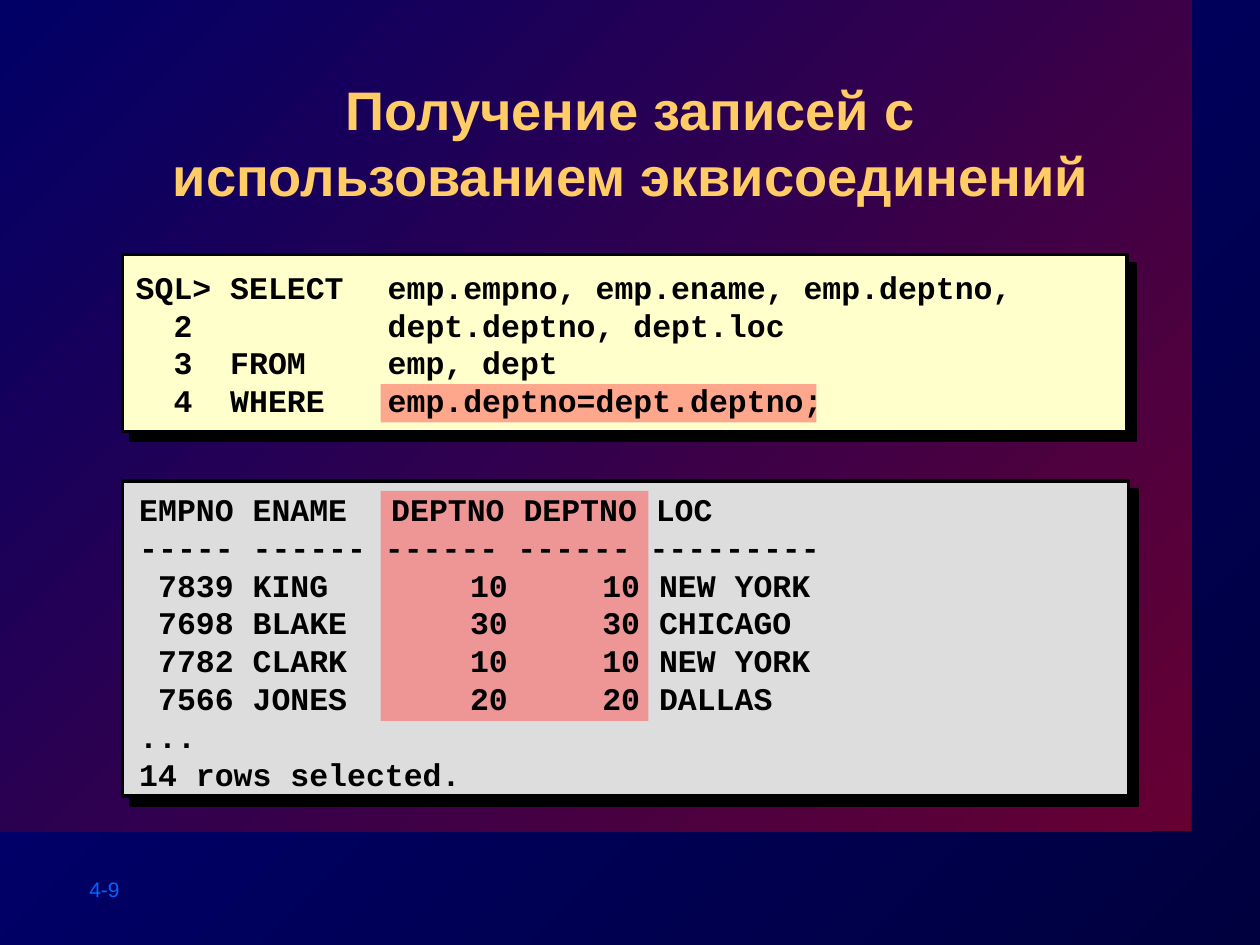
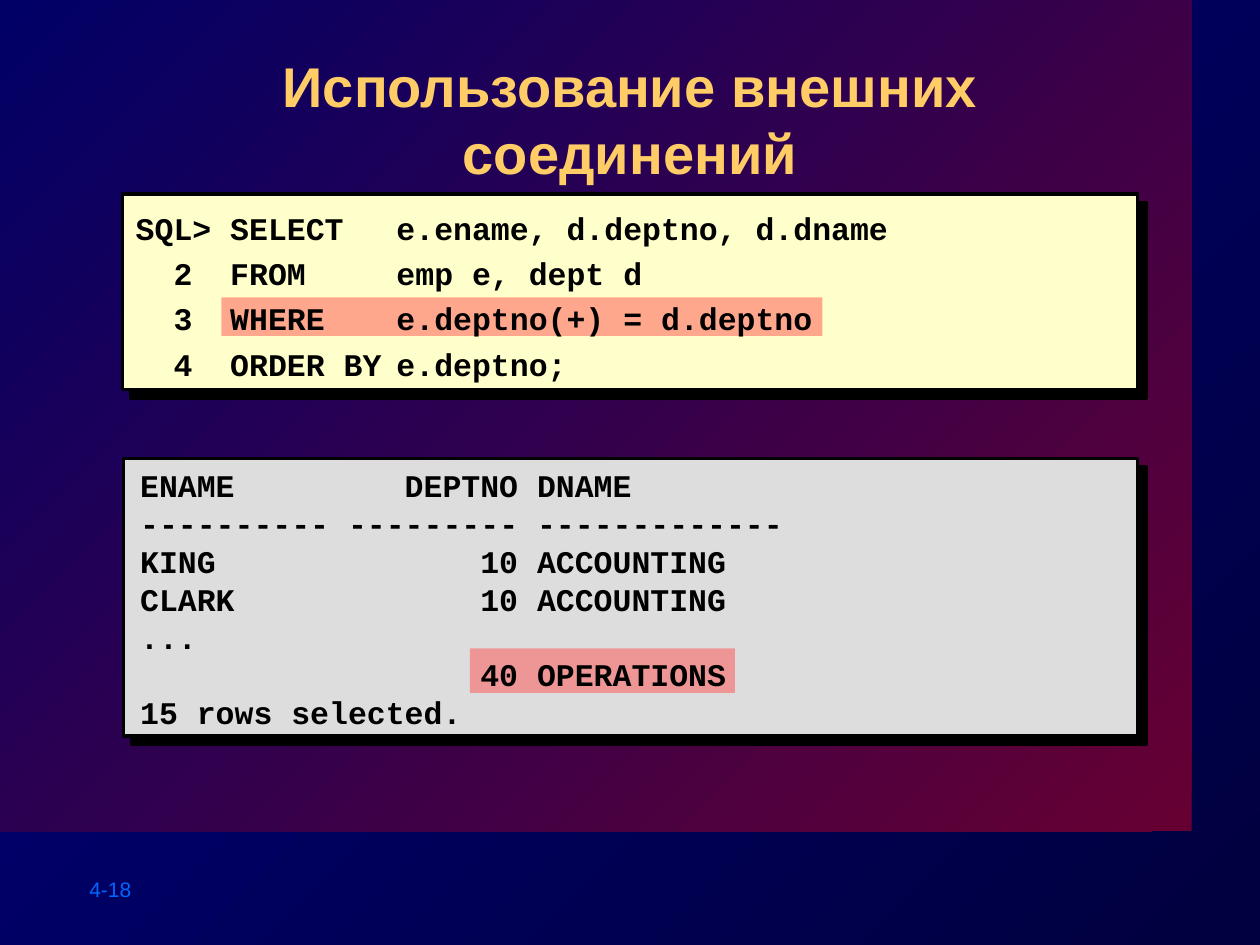
import pptx
import pptx.util
import pptx.dml.color
import pptx.enum.shapes
import pptx.enum.text
import pptx.oxml
import lxml.etree

Pt = pptx.util.Pt
RGB = pptx.dml.color.RGBColor
Align = pptx.enum.text.PP_ALIGN
Anchor = pptx.enum.text.MSO_ANCHOR

NIGHT, NAVY = RGB(0x00, 0x00, 0x3F), RGB(0x00, 0x00, 0x80)
WINE, INDIGO = RGB(0x66, 0x00, 0x33), RGB(0x00, 0x00, 0x66)
GOLD, BLUE = RGB(0xFF, 0xCC, 0x66), RGB(0x00, 0x66, 0xFF)
CREAM, GREY = RGB(0xFF, 0xFF, 0xCC), RGB(0xDD, 0xDD, 0xDD)
RED, BLACK = RGB(0xFF, 0x50, 0x50), RGB(0, 0, 0)
MONO = "Courier New"
CHAR = 10.8  # width of one 18 pt Courier New letter
NS = 'xmlns:a="http://schemas.openxmlformats.org/drawingml/2006/main"'
SHADE = (f'<a:effectLst {NS}><a:outerShdw dist="%d" dir="2700000" algn="ctr" '
         'rotWithShape="0"><a:srgbClr val="000000"/></a:outerShdw></a:effectLst>')


def text(slide, lines, at, size=18, font=MONO, color=BLACK, bold=True,
         align=Align.LEFT, anchor=Anchor.TOP, space=None, tabs=(), shade=False):
    """Write one paragraph per line, with left tab stops given in points."""
    frame = slide.shapes.add_textbox(*map(Pt, at)).text_frame
    frame.word_wrap = True
    frame.vertical_anchor = anchor
    for i, line in enumerate(lines):
        para = frame.paragraphs[0] if i == 0 else frame.add_paragraph()
        para.alignment = align
        if space:
            para.line_spacing = space
        if tabs:
            stops = "".join(f'<a:tab pos="{Pt(t)}" algn="l"/>' for t in tabs)
            props = para._p.get_or_add_pPr()
            props.append(pptx.oxml.parse_xml(f"<a:tabLst {NS}>{stops}</a:tabLst>"))
        run = para.add_run()
        run.text = line
        run.font.name, run.font.size, run.font.bold = font, Pt(size), bold
        run.font.color.rgb = color
        if shade:
            fill = run.font._element.find(".//{*}solidFill")
            fill.addnext(pptx.oxml.parse_xml(SHADE % Pt(3)))


def box(slide, at, color, panel=False):
    """Draw a framed panel with a shadow, or a half-clear highlight."""
    shape = slide.shapes.add_shape(
        pptx.enum.shapes.MSO_SHAPE.RECTANGLE, *map(Pt, at))
    shape.shadow.inherit = False
    shape.fill.solid()
    shape.fill.fore_color.rgb = color
    props = shape._element.spPr
    if panel:
        shape.line.color.rgb = BLACK
        shape.line.width = Pt(2)
        old = props.find("{*}effectLst")
        props.replace(old, pptx.oxml.parse_xml(SHADE % Pt(7.1)))
    else:
        shape.line.fill.background()
        tone = props.find("{*}solidFill")[0]
        tone.append(pptx.oxml.parse_xml(f'<a:alpha {NS} val="50000"/>'))
    return shape


PAGES = [
    dict(
        title="Получение записей с использованием эквисоединений",
        top=40.3, size=31, page="4-9",
        panels=[(70, 145.5, 574, 101), (70, 275, 575, 180)],
        marks=[(217.5, 219.5, 249, 22), (217.5, 280.5, 153, 131.5)],
        code=["SQL> SELECT\temp.empno, emp.ename, emp.deptno,",
              "\t2\t\tdept.deptno, dept.loc",
              "\t3\tFROM\temp, dept",
              "\t4\tWHERE\temp.deptno=dept.deptno;"],
        codeat=(70.5, 144.7, 576, 103), codetabs=(2 * CHAR, 5 * CHAR, 144), space=None,
        rows=["EMPNO ENAME\tDEPTNO DEPTNO LOC",
              "----- ------ ------ ------ ---------",
              "\t7839 KING\t\t10\t10 NEW YORK",
              "\t7698 BLAKE\t\t30\t30 CHICAGO",
              "\t7782 CLARK\t\t10\t10 NEW YORK",
              "\t7566 JONES\t\t20\t20 DALLAS",
              "...",
              "14 rows selected."],
        rowsat=(72.5, 276.5, 573, 180), rowtabs=(CHAR, 144, 189, 189 + 7 * CHAR)),
    dict(
        title="Использование внешних соединений",
        top=26, size=32, page="4-18",
        panels=[(70, 111, 580, 111.5), (70.5, 262, 579.5, 158.5)],
        marks=[(126.5, 170, 343.5, 22), (268.5, 370.5, 151.5, 25.5)],
        code=["SQL> SELECT\te.ename, d.deptno, d.dname",
              "\t2\tFROM\temp e, dept d",
              "\t3\tWHERE\te.deptno(+) = d.deptno",
              "\t4\tORDER BY\te.deptno;"],
        codeat=(70.5, 110.2, 582, 113), codetabs=(2 * CHAR, 5 * CHAR, 149), space=1.2,
        rows=["ENAME\tDEPTNO DNAME",
              "---------- --------- -------------",
              "KING\t\t10 ACCOUNTING",
              "CLARK\t\t10 ACCOUNTING",
              "...",
              "\t\t40 OPERATIONS",
              "15 rows selected."],
        rowsat=(73, 263, 577, 158.5), rowtabs=(14 * CHAR, 18 * CHAR)),
]

deck = pptx.Presentation()
deck.slide_width, deck.slide_height = Pt(720), Pt(540)

for page in PAGES:
    slide = deck.slides.add_slide(deck.slide_layouts[6])
    field = box(slide, (0, 0, 681, 475), INDIGO)
    for fill, start, end in ((slide.background.fill, NIGHT, NAVY),
                             (field.fill, WINE, INDIGO)):
        fill.gradient()
        fill.gradient_angle = 135
        for stop, color in zip(fill.gradient_stops, (start, end)):
            stop.color.rgb = color
    text(slide, [page["page"]], (44, 497.5, 80, 21.5), size=12, font="Arial",
         color=BLUE, bold=False)
    for at, color in zip(page["panels"], (CREAM, GREY)):
        box(slide, at, color, panel=True)
    text(slide, [page["title"]], (72.7, page["top"], 574.6, 69), size=page["size"],
         font="Arial", color=GOLD, align=Align.CENTER, shade=True)
    for at in page["marks"]:
        box(slide, at, RED)
    text(slide, page["code"], page["codeat"], anchor=Anchor.MIDDLE,
         space=page["space"], tabs=page["codetabs"])
    text(slide, page["rows"], page["rowsat"], tabs=page["rowtabs"])

deck.save("out.pptx")
